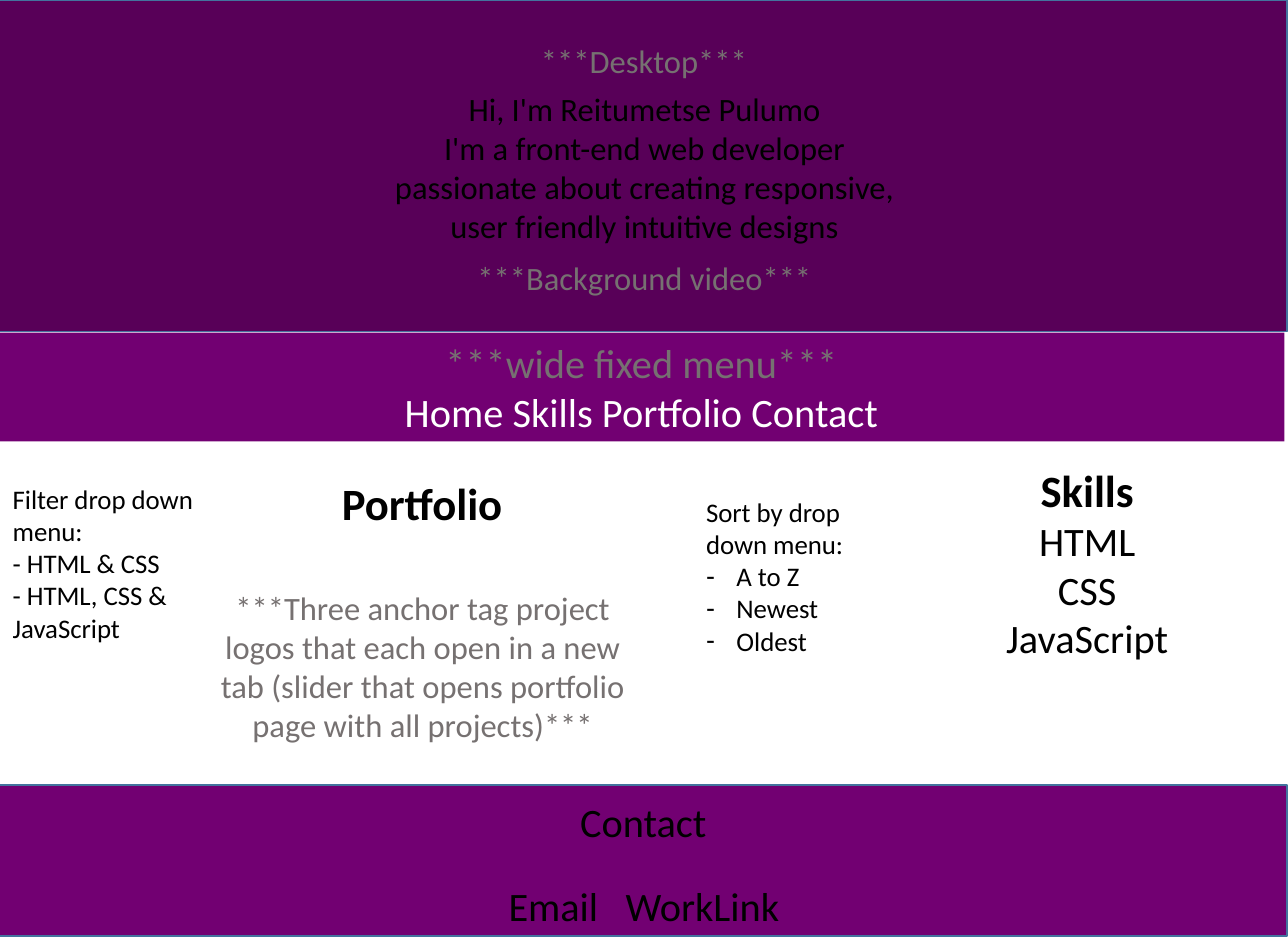
from lxml.etree import SubElement
from pptx import Presentation
from pptx.dml.color import RGBColor
from pptx.enum.shapes import MSO_SHAPE
from pptx.enum.text import MSO_ANCHOR, MSO_AUTO_SIZE, PP_ALIGN
from pptx.oxml.ns import qn
from pptx.util import Inches, Pt

COLORS = {
    "hero": "580058",
    "band": "720072",
    "edge": "43739E",
    "note": "767171",
    "text": "000000",
    "light": "FFFFFF",
}
FONT = "Calibri"
SMALL, MEDIUM, LARGE, HEADING = 16.5, 20, 24.8, 27.5
DASH_INDENT = 0.26


def color(key):
    return RGBColor.from_string(COLORS[key])


def place(part, left, top, width, height):
    part.left, part.top = Inches(left), Inches(top)
    part.width, part.height = Inches(width), Inches(height)


def set_bullet(paragraph, dash):
    props = paragraph._p.get_or_add_pPr()
    indent = Inches(DASH_INDENT) if dash else 0
    props.set("marL", str(indent))
    props.set("indent", str(-indent))
    if dash:
        SubElement(props, qn("a:buFontTx"))
        SubElement(props, qn("a:buChar"), char="-")
    else:
        SubElement(props, qn("a:buNone"))


def write(part, lines, size, ink="text", align=PP_ALIGN.CENTER,
          anchor=MSO_ANCHOR.TOP, bold_first=False, dashed=False):
    frame = part.text_frame
    frame.word_wrap = True
    frame.auto_size = MSO_AUTO_SIZE.SHAPE_TO_FIT_TEXT
    frame.vertical_anchor = anchor
    for index, line in enumerate(lines):
        text, line_size, line_ink = line if isinstance(line, tuple) else (line, size, ink)
        paragraph = frame.add_paragraph() if index else frame.paragraphs[0]
        paragraph.alignment = align
        paragraph.space_before = Pt(0)
        set_bullet(paragraph, dashed and index > 0)
        run = paragraph.add_run()
        run.text = text
        run.font.name = FONT
        run.font.size = Pt(line_size)
        run.font.bold = bold_first and index == 0
        run.font.color.rgb = color(line_ink)


def add_text(slide, box, lines, size, **style):
    label = slide.shapes.add_textbox(*map(Inches, box))
    write(label, lines, size, **style)


def add_band(slide, box, fill, edge=None):
    band = slide.shapes.add_shape(MSO_SHAPE.RECTANGLE, *map(Inches, box))
    band.shadow.inherit = False
    band.fill.solid()
    band.fill.fore_color.rgb = color(fill)
    if edge:
        band.line.color.rgb = color(edge)
        band.line.width = Pt(1)
    else:
        band.line.fill.background()
    return band


def add_hero(slide, left, top, width, height):
    add_band(slide, (left, top, width, height), "hero", "edge")
    add_text(slide, (left + 2.43, top + 0.3, 6.16, 0.44),
             ["***Desktop***"], MEDIUM, ink="note")
    add_text(slide, (left + 3.07, top + 0.71, 4.89, 1.45),
             ["Hi, I'm Reitumetse Pulumo",
              "I'm a front-end web developer passionate about creating "
              "responsive, user friendly intuitive designs"], MEDIUM)
    add_text(slide, (left + 2.7, top + 2.15, 5.63, 0.44),
             ["***Background video***"], MEDIUM, ink="note")


def add_menu(slide, left, top, width, height):
    menu = add_band(slide, (left, top, width, height), "band")
    write(menu, [("***wide fixed menu***", LARGE, "note"),
                 ("Home Skills Portfolio Contact", LARGE, "light")],
          LARGE, anchor=MSO_ANCHOR.MIDDLE)


def add_portfolio(slide, left, top):
    heading, sort_menu = slide.shapes.title, slide.placeholders[1]
    place(heading, left + 1.9, top + 0.11, 3.39, 0.56)
    write(heading, ["Portfolio"], HEADING, bold_first=True)
    add_text(slide, (left + 1.69, top + 1.07, 3.82, 1.45),
             ["***Three anchor tag project logos that each open in a new tab "
              "(slider that opens portfolio page with all projects)***"],
             MEDIUM, ink="note")
    add_text(slide, (left, top + 0.17, 1.78, 1.49),
             ["Filter drop down menu:", "- HTML & CSS", "- HTML, CSS & JavaScript"],
             SMALL, align=PP_ALIGN.LEFT)
    place(sort_menu, left + 5.92, top + 0.28, 1.78, 1.49)
    write(sort_menu, ["Sort by drop down menu:", "A to Z", "Newest", "Oldest"],
          SMALL, align=PP_ALIGN.LEFT, dashed=True)


def add_skills(slide, left, top, width, height):
    skills = slide.placeholders[2]
    place(skills, left, top, width, height)
    write(skills, [("Skills", HEADING, "text"), "HTML", "CSS", "JavaScript"],
          LARGE, bold_first=True)


def add_contact(slide, left, top, width, height):
    add_band(slide, (left, top, width, height), "band", "edge")
    add_text(slide, (left + 4.14, top + 0.06, 2.73, 0.52), ["Contact"], LARGE)
    add_text(slide, (left + 3.62, top + 0.77, 3.78, 0.52), ["Email\tWorkLink"], LARGE)


def main():
    deck = Presentation()
    deck.slide_width, deck.slide_height = Inches(11), Inches(8)
    two_content = deck.slide_layouts[3]
    slide = deck.slides.add_slide(two_content)
    for holder in list(slide.placeholders):
        if holder.placeholder_format.idx > 2:
            holder._element.getparent().remove(holder._element)
    add_hero(slide, -0.01, 0, 11, 2.83)
    add_menu(slide, -0.01, 2.84, 10.98, 0.93)
    add_portfolio(slide, 0.01, 3.9)
    add_skills(slide, 7.59, 3.9, 3.39, 1.81)
    add_contact(slide, -0.01, 6.7, 11, 1.29)
    deck.save("out.pptx")


if __name__ == "__main__":
    main()
